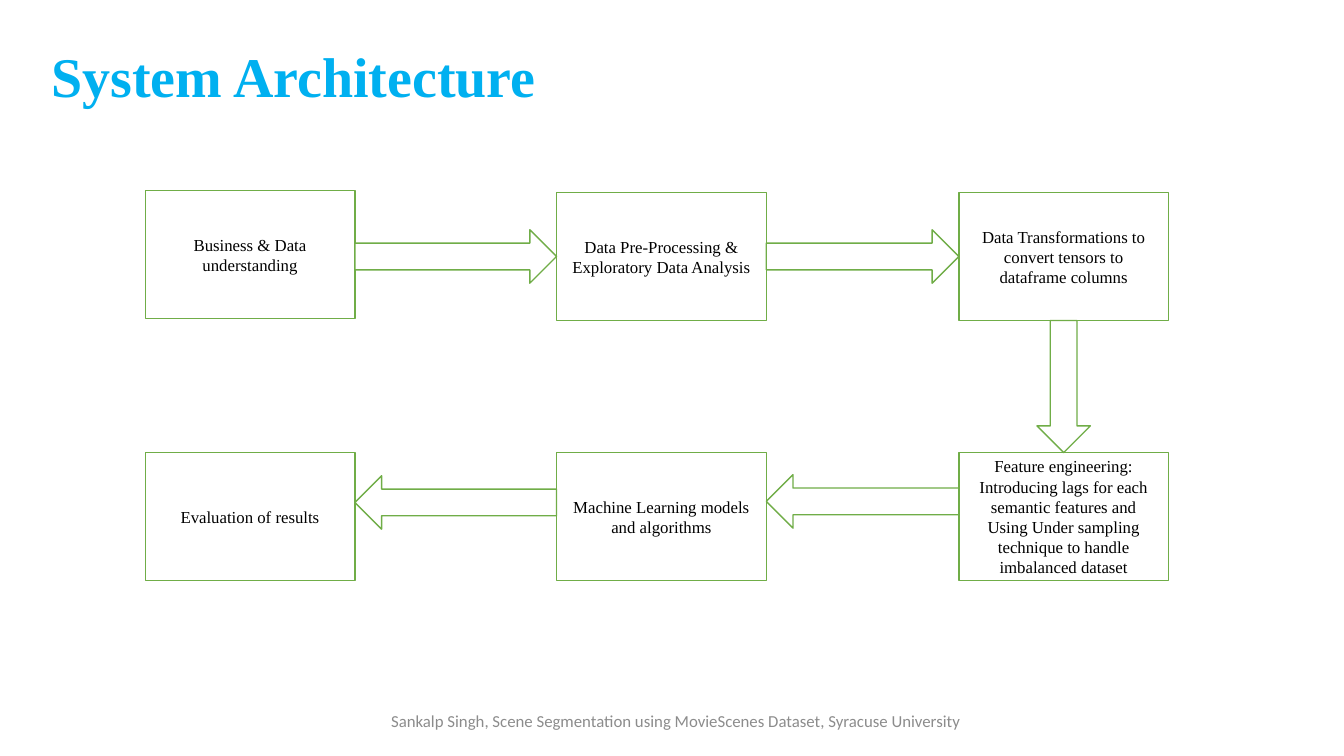
"""Build the System Architecture slide, a six-step process flow."""
from pptx import Presentation
from pptx.dml.color import RGBColor
from pptx.enum.shapes import MSO_SHAPE
from pptx.enum.text import MSO_ANCHOR, PP_ALIGN
from pptx.util import Inches, Pt

RECTANGLE = MSO_SHAPE.RECTANGLE
RIGHT_ARROW = MSO_SHAPE.RIGHT_ARROW
LEFT_ARROW = MSO_SHAPE.LEFT_ARROW
DOWN_ARROW = MSO_SHAPE.DOWN_ARROW
TOP, MIDDLE = MSO_ANCHOR.TOP, MSO_ANCHOR.MIDDLE
LEFT, CENTER = PP_ALIGN.LEFT, PP_ALIGN.CENTER

WHITE = RGBColor(0xFF, 0xFF, 0xFF)
BLACK = RGBColor(0x00, 0x00, 0x00)
GREEN = RGBColor(0x70, 0xAD, 0x47)
SKY_BLUE = RGBColor(0x00, 0xB0, 0xF0)
GREY = RGBColor(0x8C, 0x8C, 0x8C)
SERIF, SANS = "Times New Roman", "Calibri"

BOX_WIDTH, BOX_HEIGHT, ARROW_SIZE = 2.08, 1.27, 0.53
COLUMNS = (1.44, 5.52, 9.51)
UPPER_ROW, LOWER_ROW = 1.91, 4.49
STEPS = (
    (COLUMNS[0], 1.89, "Business & Data understanding"),
    (COLUMNS[1], UPPER_ROW, "Data Pre-Processing & Exploratory Data Analysis"),
    (COLUMNS[2], UPPER_ROW,
     "Data Transformations to convert tensors to dataframe columns"),
    (COLUMNS[2], LOWER_ROW,
     "Feature engineering: Introducing lags for each semantic features and "
     "Using Under sampling technique to handle imbalanced dataset"),
    (COLUMNS[1], LOWER_ROW, "Machine Learning models and algorithms"),
    (COLUMNS[0], LOWER_ROW, "Evaluation of results"),
)
LEFT_ARROW_TOPS = (4.72, 4.71)


class SlideBuilder:
    """Hold the slide and the style shared by its elements."""

    def __init__(self, deck):
        """Add a title-only slide to the deck."""
        self.page = deck.slides.add_slide(deck.slide_layouts[5])

    def add_text(self, box, text, size, color, font=SERIF, bold=False,
                 align=CENTER, anchor=MIDDLE):
        """Put one styled run into a box."""
        frame = box.text_frame
        frame.word_wrap = True
        frame.vertical_anchor = anchor
        para = frame.paragraphs[0]
        para.alignment = align
        span = para.add_run()
        span.text = text
        span.font.name = font
        span.font.size = Pt(size)
        span.font.bold = bold
        span.font.color.rgb = color

    def title(self, text, left, top, width, height):
        """Place and fill the title placeholder."""
        box = self.page.shapes.title
        box.left, box.top = Inches(left), Inches(top)
        box.width, box.height = Inches(width), Inches(height)
        self.add_text(box, text, 40, SKY_BLUE, bold=True, align=LEFT, anchor=TOP)

    def outline(self, kind, left, top, width, height):
        """Add a white shape with a green outline."""
        shape = self.page.shapes.add_shape(
            kind, Inches(left), Inches(top), Inches(width), Inches(height))
        shape.shadow.inherit = False
        shape.fill.solid()
        shape.fill.fore_color.rgb = WHITE
        shape.line.color.rgb = GREEN
        shape.line.width = Pt(1)
        return shape

    def step(self, left, top, text):
        """Add one labelled step of the process."""
        box = self.outline(RECTANGLE, left, top, BOX_WIDTH, BOX_HEIGHT)
        self.add_text(box, text, 12, BLACK)

    def footer(self, text, left, top, width, height):
        """Add the centred footer line."""
        box = self.page.shapes.add_textbox(
            Inches(left), Inches(top), Inches(width), Inches(height))
        self.add_text(box, text, 12, GREY, font=SANS)


def main():
    """Build and save the deck."""
    deck = Presentation()
    deck.slide_width, deck.slide_height = Inches(13.33), Inches(7.5)
    slide = SlideBuilder(deck)
    slide.title("System Architecture", 0.41, 0.36, 10.6, 0.77)
    for left, top, text in STEPS:
        slide.step(left, top, text)
    for start, end, left_arrow_top in zip(COLUMNS, COLUMNS[1:], LEFT_ARROW_TOPS):
        gap_left = start + BOX_WIDTH
        gap = end - gap_left
        slide.outline(RIGHT_ARROW, gap_left, 2.28, gap, ARROW_SIZE)
        slide.outline(LEFT_ARROW, gap_left, left_arrow_top, gap, ARROW_SIZE)
    upper_bottom = UPPER_ROW + BOX_HEIGHT
    slide.outline(DOWN_ARROW, COLUMNS[2] + (BOX_WIDTH - ARROW_SIZE) / 2,
                  upper_bottom, ARROW_SIZE, LOWER_ROW - upper_bottom)
    slide.footer("Sankalp Singh, Scene Segmentation using MovieScenes Dataset, "
                 "Syracuse University", 2.6, 6.95, 8.21, 0.4)
    deck.save("out.pptx")


if __name__ == "__main__":
    main()
